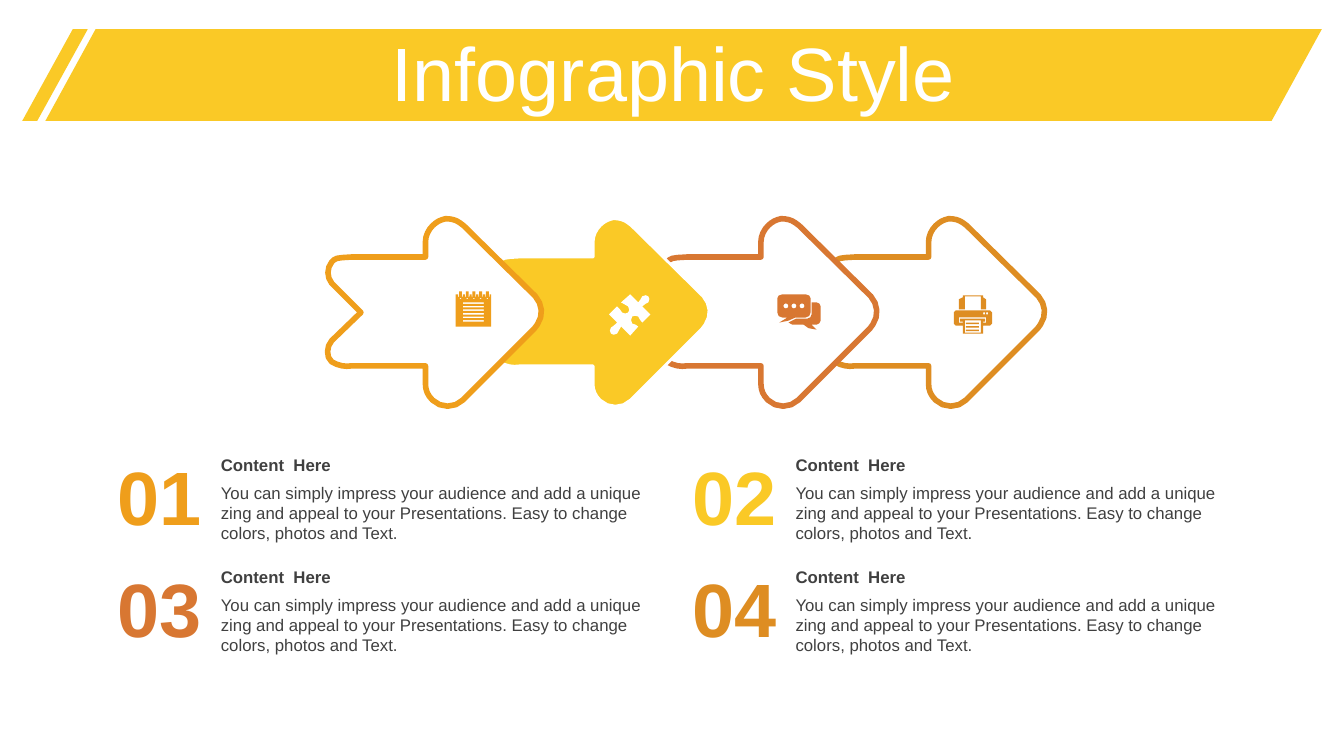
import math
from dataclasses import dataclass

from pptx import Presentation
from pptx.dml.color import RGBColor
from pptx.enum.shapes import MSO_SHAPE
from pptx.enum.text import MSO_ANCHOR, MSO_AUTO_SIZE, PP_ALIGN
from pptx.util import Inches, Pt

PARALLELOGRAM = MSO_SHAPE.PARALLELOGRAM
TOP, MIDDLE = MSO_ANCHOR.TOP, MSO_ANCHOR.MIDDLE
LEFT, CENTER, RIGHT = PP_ALIGN.LEFT, PP_ALIGN.CENTER, PP_ALIGN.RIGHT
GROW = MSO_AUTO_SIZE.SHAPE_TO_FIT_TEXT


@dataclass(frozen=True)
class Theme:
    font: str = "Arial"
    orange: str = "EF9E1B"
    yellow: str = "FAC926"
    rust: str = "D87732"
    amber: str = "DE8D22"
    white: str = "FFFFFF"
    text: str = "404040"
    display: int = 54
    body: int = 12


T = Theme()
TITLE = "Infographic Style"
HEADING = "Content  Here"
BODY = ("You can simply impress your audience and add a unique zing and appeal "
        "to your Presentations. Easy to change colors, photos and Text.")
# number, accent colour, arrow fill, arrow line, line width
STEPS = [
    ("01", T.orange, T.white, T.orange, 4),
    ("02", T.yellow, T.yellow, T.white, 2),
    ("03", T.rust, T.white, T.rust, 4),
    ("04", T.amber, T.white, T.amber, 4),
]
BANNERS = [(0.45, 12.66, 0.547), (0.22, 0.65, 0.771)]  # left, width, slant

ARROW_PITCH = 4.99 / 3
ARROW = """M 4.42 2.17 C 4.47 2.17 4.52 2.18 4.56 2.21 L 4.6 2.24
L 5.31 2.94 C 5.38 3.02 5.39 3.13 5.33 3.22 L 5.3 3.26
L 4.59 3.97 C 4.51 4.05 4.37 4.05 4.29 3.97 C 4.24 3.92 4.22 3.87 4.22 3.81
L 4.22 3.63 L 3.49 3.63 C 3.42 3.64 3.36 3.63 3.29 3.59 C 3.23 3.54 3.24 3.44 3.29 3.38
L 3.58 3.1 L 3.29 2.81 C 3.24 2.75 3.24 2.66 3.29 2.6 C 3.33 2.56 3.32 2.56 3.49 2.55
L 4.22 2.55 L 4.22 2.4 C 4.22 2.34 4.25 2.28 4.29 2.24 C 4.33 2.2 4.37 2.18 4.42 2.17"""
PUZZLE = """M 6.43 2.94 C 6.44 2.95 6.45 2.98 6.43 3 C 6.41 3.02 6.39 3.01 6.37 3.04
L 6.45 3.12 L 6.37 3.2 C 6.34 3.18 6.35 3.16 6.33 3.14 C 6.31 3.13 6.28 3.13 6.27 3.14
C 6.26 3.16 6.25 3.19 6.27 3.21 C 6.3 3.23 6.31 3.21 6.33 3.24 L 6.25 3.33
L 6.16 3.24 C 6.13 3.27 6.15 3.28 6.12 3.31 C 6.1 3.33 6.07 3.32 6.06 3.31
C 6.05 3.29 6.04 3.27 6.06 3.25 C 6.08 3.22 6.1 3.24 6.12 3.2 L 6.04 3.12
L 6.12 3.04 C 6.16 3.06 6.14 3.08 6.17 3.1 C 6.19 3.12 6.21 3.11 6.23 3.1
C 6.24 3.09 6.25 3.06 6.23 3.04 C 6.2 3.01 6.19 3.03 6.16 3 L 6.25 2.92
L 6.33 3 C 6.36 2.98 6.34 2.97 6.37 2.94 C 6.39 2.92 6.42 2.93 6.43 2.94"""
FRONT_BUBBLE = """M 7.76 2.92 L 7.99 2.92 C 8.02 2.92 8.04 2.94 8.04 2.96 L 8.04 3.1
C 8.04 3.13 8.02 3.15 7.99 3.15 L 7.89 3.15 C 7.83 3.18 7.81 3.19 7.73 3.2
L 7.81 3.15 L 7.76 3.15 C 7.73 3.15 7.71 3.13 7.71 3.1
L 7.71 2.96 C 7.71 2.94 7.73 2.92 7.76 2.92"""
BACK_BUBBLE = """M 8.05 3 L 8.1 3 C 8.12 3 8.14 3.02 8.14 3.04 L 8.14 3.18
C 8.14 3.2 8.12 3.22 8.1 3.22 L 8.05 3.22 L 8.1 3.27
C 8.02 3.26 8.01 3.26 7.97 3.22 L 7.86 3.22 L 7.82 3.2
L 7.9 3.16 L 8.01 3.16 C 8.03 3.16 8.05 3.14 8.05 3.12"""
PRINTER_SLOT = """M 9.51 3.15 L 9.51 3.2 L 9.55 3.2 L 9.55 3.19 L 9.52 3.19 L 9.52 3.16
L 9.77 3.16 L 9.77 3.19 L 9.75 3.19 L 9.75 3.2 L 9.78 3.2 L 9.78 3.15"""
PRINTER_TRAY = """M 9.55 2.93 L 9.75 2.93 L 9.75 2.95 L 9.78 2.97 L 9.78 3.07
L 9.73 3.07 L 9.73 2.94 L 9.57 2.94 L 9.57 3.07 L 9.51 3.07 L 9.51 2.97 L 9.55 2.95"""
PRINTER_BODY = """M 9.48 3.08 L 9.82 3.08 L 9.84 3.1 L 9.84 3.21 L 9.82 3.23 L 9.75 3.23
L 9.75 3.31 L 9.55 3.31 L 9.55 3.23 L 9.48 3.23 L 9.46 3.21 L 9.46 3.1"""


def outline(commands, steps=2):
    """Turn M, L and C commands into points, each curve cut into short steps."""
    points, tokens = [], iter(commands.split())
    for command in tokens:
        ends = [(float(next(tokens)), float(next(tokens)))
                for _ in range(3 if command == "C" else 1)]
        if command != "C":
            points += ends
            continue
        curve = [points[-1]] + ends
        for i in range(1, steps + 1):
            t = i / steps
            weights = [math.comb(3, k) * t**k * (1 - t)**(3 - k) for k in range(4)]
            points.append(tuple(sum(w * c[axis] for w, c in zip(weights, curve))
                                for axis in (0, 1)))
    return points


def dot(cx, cy, r, sides=8):
    angles = [2 * math.pi * i / sides for i in range(sides)]
    return [(cx + r * math.cos(a), cy + r * math.sin(a)) for a in angles]


def box(x, y, w, h):
    return [(x, y), (x + w, y), (x + w, y + h), (x, y + h)]


def notepad():
    rings = [4.567 + 0.2 * i / 3 for i in range(5)]
    lines = [box(4.59, 3 + 0.035 * i, 0.21, 0.015) for i in range(6)]
    sheet = "M 4.52 2.92 "
    for x in rings:
        a, b = x - 0.023, x + 0.023
        sheet += f"L {a} 2.92 L {a} 2.94 C {a} 2.98 {b} 2.98 {b} 2.94 L {b} 2.92 "
    sheet += "L 4.87 2.92 L 4.87 3.24 L 4.52 3.24"
    return [outline(sheet)] + lines + [box(x - 0.014, 2.89, 0.028, 0.065) for x in rings]


def printer():
    lines = [box(9.58, 3.2 + 0.035 * i, 0.13, 0.015) for i in range(3)]
    lights = [box(x, 3.1, 0.02, 0.02) for x in (9.75, 9.78)]
    parts = [outline(c) for c in (PRINTER_BODY, PRINTER_SLOT, PRINTER_TRAY)]
    return parts + [box(9.57, 3.18, 0.16, 0.12)] + lines + lights


def chat():
    dots = [dot(7.795 + 0.08 * i, 3.035, 0.025) for i in range(3)]
    return [outline(FRONT_BUBBLE), outline(BACK_BUBBLE)] + dots


def paint(sp, fill, line=None, width=0):
    sp.shadow.inherit = False
    sp.fill.solid()
    sp.fill.fore_color.rgb = RGBColor.from_string(fill)
    if line:
        sp.line.color.rgb = RGBColor.from_string(line)
        sp.line.width = Pt(width)
    else:
        sp.line.fill.background()


def add_outlines(shapes, contours, fill, line=None, width=0):
    unit = 1000  # drawing units per inch
    scaled = [[(x * unit, y * unit) for x, y in c] for c in contours]
    builder = shapes.build_freeform(*scaled[0][0], scale=Inches(1) / unit)
    builder.add_line_segments(scaled[0][1:], close=True)
    for contour in scaled[1:]:
        builder.move_to(*contour[0])
        builder.add_line_segments(contour[1:], close=True)
    paint(builder.convert_to_shape(), fill, line, width)


def write(sp, text, size, color, bold=False, align=LEFT, anchor=MIDDLE):
    tf = sp.text_frame
    tf.word_wrap = True
    tf.vertical_anchor = anchor
    p = tf.paragraphs[0]
    p.alignment = align
    r = p.add_run()
    r.text = text
    r.font.name, r.font.size, r.font.bold = T.font, Pt(size), bold
    r.font.color.rgb = RGBColor.from_string(color)
    return tf


def add_label(shapes, at, insets, *args, **kwargs):
    tf = write(shapes.add_textbox(*map(Inches, at)), *args, **kwargs)
    tf.auto_size = GROW
    tf.margin_left, tf.margin_top, tf.margin_right, tf.margin_bottom = map(Inches, insets)


def add_title(s):
    title = s.shapes.title
    title.left, title.top, title.width, title.height = map(Inches, (0.35, 0.37, 12.66, 0.79))
    tf = write(title, TITLE, T.display, T.white, align=CENTER)
    tf.paragraphs[0].line_spacing = 0.9
    banner = s.shapes.add_group_shape()
    for left, width, slant in BANNERS:
        sp = banner.shapes.add_shape(PARALLELOGRAM, *map(Inches, (left, 0.29, width, 0.91)))
        sp.adjustments[0] = slant
        paint(sp, T.yellow)
    title.element.addprevious(banner.element)  # banner goes behind the title


def main():
    prs = Presentation()
    prs.slide_width, prs.slide_height = Inches(13.33), Inches(7.5)
    s = prs.slides.add_slide(prs.slide_layouts[5])
    add_title(s)

    arrow = outline(ARROW, steps=4)
    for i, (_, _, fill, line, width) in reversed(list(enumerate(STEPS))):
        shifted = [(x + i * ARROW_PITCH, y) for x, y in arrow]
        add_outlines(s.shapes, [shifted], fill, line, width)

    for i, (number, accent, *_) in enumerate(STEPS):
        x, y = 1.06 + i % 2 * 5.7, 4.46 + i // 2 * 1.11
        group = s.shapes.add_group_shape()
        insets = (0, 0.05, 0.1, 0.05)
        add_label(group.shapes, (x + 1.13, y, 4.45, 0.3), insets,
                  HEADING, T.body, T.text, bold=True)
        add_label(group.shapes, (x + 1.13, y + 0.28, 4.45, 0.71), insets,
                  BODY, T.body, T.text, anchor=TOP)
        add_label(s.shapes, (x, y, 0.94, 0.91), (0, 0, 0, 0),
                  number, T.display, accent, bold=True, align=RIGHT)

    icons = [(notepad(), T.orange), ([outline(PUZZLE)], T.white),
             (chat(), T.rust), (printer(), T.amber)]
    for contours, color in icons:
        add_outlines(s.shapes, contours, color)
    prs.save("out.pptx")


if __name__ == "__main__":
    main()
